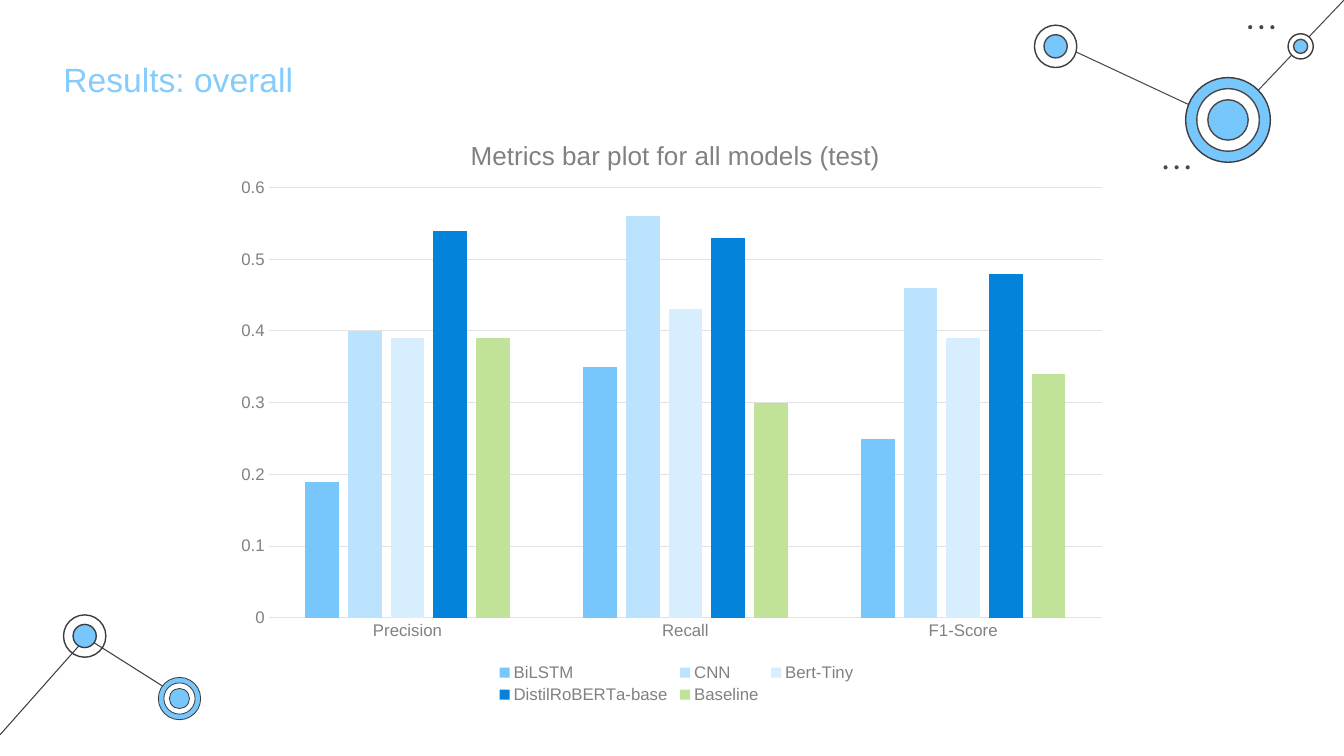
from pptx import Presentation
from pptx.chart.data import CategoryChartData
from pptx.dml.color import RGBColor
from pptx.enum.chart import XL_CHART_TYPE as ChartType, XL_LEGEND_POSITION as LegendPos
from pptx.enum.chart import XL_TICK_MARK as TickMark
from pptx.enum.shapes import MSO_CONNECTOR as Connector, MSO_SHAPE as Shape
from pptx.oxml import parse_xml
from pptx.oxml.ns import nsdecls, qn
from pptx.util import Inches, Pt

FONT = "Arial"
BLUE, WHITE, DARK, SLATE = "77C6FC", "FFFFFF", "3D3D3D", "494949"
GREY, GRID = "818181", "E2E2E2"

# Lines between the nodes: start and end points
LINKS = [
    ((0.86, 6.33), (1.84, 6.95), DARK),
    ((0, 7.29), (0.86, 6.32), DARK),
    ((12.18, 1.22), (10.49, 0.43), SLATE),
    ((13.34, -0.01), (12.18, 1.21), SLATE),
]
# Nodes: centre, outline width, then rings as (diameter, fill, outline)
NODES = [
    ((0.84, 6.31), 1, [(0.42, None, DARK), (0.23, BLUE, DARK)]),
    ((1.78, 6.93), 0.6, [(0.42, BLUE, DARK), (0.31, WHITE, DARK), (0.2, BLUE, DARK)]),
    ((12.18, 1.19), 1, [(0.84, BLUE, DARK), (0.62, WHITE, SLATE), (0.4, BLUE, SLATE)]),
    ((10.47, 0.46), 1, [(0.42, WHITE, DARK), (0.23, BLUE, SLATE)]),
    ((12.9, 0.46), 1, [(0.25, WHITE, DARK), (0.14, BLUE, SLATE)]),
]
DOT_ROWS = [(12.4, 0.27), (11.56, 1.66)]
DOT_STEP = 0.11

METRICS = ["Precision", "Recall", "F1-Score"]
MODELS = [
    ("BiLSTM", [0.19, 0.35, 0.25], BLUE),
    ("CNN", [0.4, 0.56, 0.46], "BBE3FE"),
    ("Bert-Tiny", [0.39, 0.43, 0.39], "D6EEFE"),
    ("DistilRoBERTa-base", [0.54, 0.53, 0.48], "0383D9"),
    ("Baseline", [0.39, 0.3, 0.34], "C0E399"),
]


def rgb(value):
    return RGBColor.from_string(value)


def set_font(font, size, color):
    font.name, font.size, font.bold = FONT, Pt(size), False
    font.color.rgb = rgb(color)


def add_text(slide, text, left, top, width, height, size, color):
    box = slide.shapes.add_textbox(Inches(left), Inches(top), Inches(width), Inches(height))
    frame = box.text_frame
    frame.word_wrap = True
    frame.margin_left = frame.margin_right = Inches(0.1)
    frame.margin_top = frame.margin_bottom = Inches(0.1)
    run = frame.paragraphs[0].add_run()
    run.text = text
    set_font(run.font, size, color)


def add_link(slide, start, end, color):
    points = [Inches(v) for v in (*start, *end)]
    link = slide.shapes.add_connector(Connector.STRAIGHT, *points)
    link.line.color.rgb = rgb(color)
    link.line.width = Pt(0.75)
    link._element.spPr.append(parse_xml(f"<a:effectLst {nsdecls('a')}/>"))


def add_circle(slide, center, diameter, fill=None, outline=None, weight=1):
    left, top = (Inches(v - diameter / 2) for v in center)
    circle = slide.shapes.add_shape(Shape.OVAL, left, top, Inches(diameter), Inches(diameter))
    circle.shadow.inherit = False
    if fill:
        circle.fill.solid()
        circle.fill.fore_color.rgb = rgb(fill)
    else:
        circle.fill.background()
    if outline:
        circle.line.color.rgb = rgb(outline)
        circle.line.width = Pt(weight)
    else:
        circle.line.fill.background()


def add_decoration(slide):
    for start, end, color in LINKS:
        add_link(slide, start, end, color)
    for center, weight, rings in NODES:
        for diameter, fill, outline in rings:
            add_circle(slide, center, diameter, fill, outline, weight)
    for x, y in DOT_ROWS:
        for i in range(3):
            add_circle(slide, (x + i * DOT_STEP, y), 0.04, SLATE)


def place(part, after=None, **fractions):
    """Give a chart part a fixed place, as fractions of the chart."""
    for old in part.findall(qn("c:layout")):
        part.remove(old)
    modes = "".join(f'<c:{axis}Mode val="edge"/>' for axis in "xy")
    target = '<c:layoutTarget val="inner"/>' if after is None else ""
    sizes = "".join(f'<c:{key} val="{value}"/>' for key, value in fractions.items())
    layout = parse_xml(f"<c:layout {nsdecls('c')}><c:manualLayout>{target}{modes}{sizes}"
                       "</c:manualLayout></c:layout>")
    if after is None:
        part.insert(0, layout)
    else:
        part.find(qn(after)).addnext(layout)


def style_axis(axis):
    axis.major_tick_mark = axis.minor_tick_mark = TickMark.NONE
    set_font(axis.tick_labels.font, 12, GREY)


def add_metrics_chart(slide):
    data = CategoryChartData()
    data.categories = METRICS
    for name, scores, _ in MODELS:
        data.add_series(name, scores)
    chart = slide.shapes.add_chart(ChartType.COLUMN_CLUSTERED, Inches(2.22), Inches(1.09),
                                   Inches(8.89), Inches(5.93), data).chart
    set_font(chart.font, 10, DARK)

    # Bars
    bars = chart.plots[0]
    bars.gap_width, bars.overlap, bars.vary_by_categories = 219, -27, False
    for series, (_, _, color) in zip(bars.series, MODELS):
        series.format.fill.solid()
        series.format.fill.fore_color.rgb = rgb(color)
    place(chart._chartSpace.chart.plotArea, x=0.05, y=0.13, w=0.93, h=0.72)

    # Title
    chart.has_title = True
    heading = chart.chart_title.text_frame.paragraphs[0].add_run()
    heading.text = "Metrics bar plot for all models (test)"
    set_font(heading.font, 18.6, GREY)
    place(chart.chart_title._element, "c:tx", x=0.27, y=0.04)

    # Axes
    metrics, scale = chart.category_axis, chart.value_axis
    style_axis(metrics)
    style_axis(scale)
    scale.minimum_scale, scale.maximum_scale, scale.major_unit = 0, 0.6, 0.1
    scale.tick_labels.number_format = "General"
    scale.tick_labels.number_format_is_linked = False
    scale.format.line.fill.background()
    for line in (metrics.format.line, scale.major_gridlines.format.line):
        line.color.rgb = rgb(GRID)
        line.width = Pt(0.75)

    # Legend
    chart.has_legend = True
    chart.legend.position = LegendPos.BOTTOM
    chart.legend.include_in_layout = False
    set_font(chart.legend.font, 12, GREY)
    place(chart.legend._element, "c:legendPos", x=0.3, y=0.92, w=0.41, h=0.08)


def main():
    deck = Presentation()
    deck.slide_width, deck.slide_height = Inches(13.33), Inches(7.5)
    slide = deck.slides.add_slide(deck.slide_layouts[6])
    add_decoration(slide)
    add_text(slide, "Results: overall", 0.53, 0.48, 11.22, 0.84, size=24, color="85CCFC")
    add_metrics_chart(slide)
    deck.save("out.pptx")


if __name__ == "__main__":
    main()
